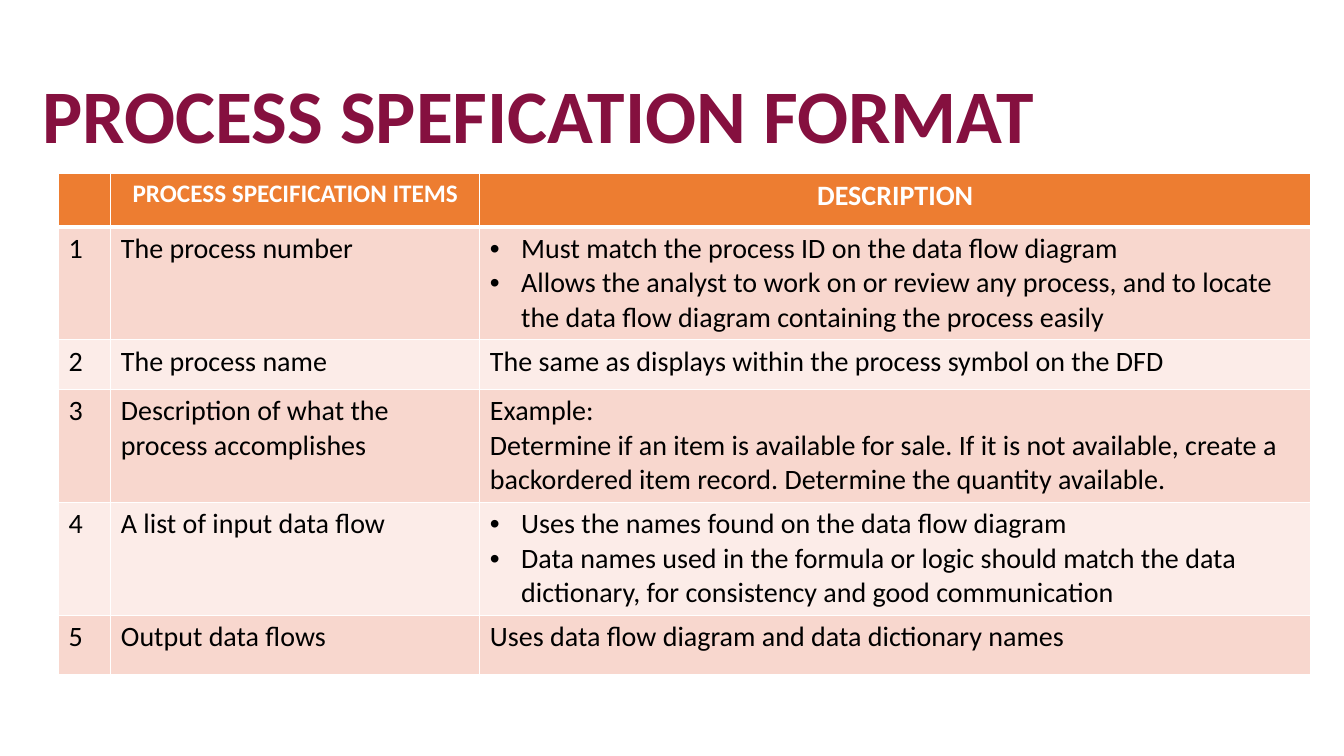
import pptx
import pptx.util
import pptx.dml.color
import pptx.enum.text
import pptx.oxml
import pptx.oxml.ns

Inches, Pt = pptx.util.Inches, pptx.util.Pt
RGBColor = pptx.dml.color.RGBColor
ALIGN = pptx.enum.text.PP_ALIGN
ANCHOR = pptx.enum.text.MSO_ANCHOR
NAMESPACE = pptx.oxml.ns.nsdecls("a")

# Content: a list in the description column is bulleted, a string is plain
TITLE = "PROCESS SPEFICATION FORMAT"
HEADINGS = ("", "PROCESS SPECIFICATION ITEMS", "DESCRIPTION")
ITEMS = [
    ("The process number", [
        "Must match the process ID on the data flow diagram",
        "Allows the analyst to work on or review any process, and to locate "
        "the data flow diagram containing the process easily"]),
    ("The process name", "The same as displays within the process symbol on the DFD"),
    ("Description of what the process accomplishes",
        "Example:\nDetermine if an item is available for sale. If it is not available, "
        "create a backordered item record. Determine the quantity available."),
    ("A list of input data flow", [
        "Uses the names found on the data flow diagram",
        "Data names used in the formula or logic should match the data "
        "dictionary, for consistency and good communication"]),
    ("Output data flows", "Uses data flow diagram and data dictionary names"),
]

# Style and grid
FONT = "Calibri"
MAROON = RGBColor(0x85, 0x10, 0x3F)
ORANGE = RGBColor(0xED, 0x7D, 0x31)
BANDS = (RGBColor(0xF8, 0xD7, 0xCE), RGBColor(0xFC, 0xEC, 0xE8))
WHITE = RGBColor(0xFF, 0xFF, 0xFF)
BLACK = RGBColor(0, 0, 0)
HEADING_SIZES = (18, 18, 20)
COLUMNS = (0.52, 3.66, 8.24)
ROWS = (0.53, 1.1, 0.49, 1.1, 1.1, 0.59)
INDENT = Inches(0.31)


def style_font(font, size, color, bold):
    font.name, font.size, font.bold = FONT, Pt(size), bold
    font.color.rgb = color


def add_borders(cell, bottom):
    properties = cell._tc.get_or_add_tcPr()
    for index, (side, width) in enumerate(zip("LRTB", (1, 1, 1, bottom))):
        properties.insert(index, pptx.oxml.parse_xml(
            f'<a:ln{side} {NAMESPACE} w="{Pt(width)}"><a:solidFill>'
            f'<a:srgbClr val="{WHITE}"/></a:solidFill></a:ln{side}>'))


def add_bullet(para):
    properties = para._p.get_or_add_pPr()
    properties.set("marL", str(INDENT))
    properties.set("indent", str(-INDENT))
    for element in ('buFont {} typeface="Arial"', 'buChar {} char="•"'):
        properties.append(pptx.oxml.parse_xml(f"<a:{element.format(NAMESPACE)}/>"))


def fill_cell(cell, content, fill, size, color, heading):
    cell.fill.solid()
    cell.fill.fore_color.rgb = fill
    add_borders(cell, 3 if heading else 1)
    bulleted = isinstance(content, list)
    cell.text_frame.text = "\n".join(content) if bulleted else content
    for para in cell.text_frame.paragraphs:
        if bulleted:
            add_bullet(para)
        para.alignment = ALIGN.CENTER if heading else ALIGN.LEFT
        style_font(para.font, size, color, heading)
        for span in para.runs:
            style_font(span.font, size, color, heading)


deck = pptx.Presentation()
deck.slide_width, deck.slide_height = Inches(13.33), Inches(7.5)
page = deck.slides.add_slide(deck.slide_layouts[5])

# Title
title = page.shapes.title
title.left, title.top, title.width, title.height = map(Inches, (0.32, 0.65, 11.5, 1.06))
title.text_frame.text = TITLE
title.text_frame.word_wrap = True
title.text_frame.auto_size = pptx.enum.text.MSO_AUTO_SIZE.NONE
title.text_frame.vertical_anchor = ANCHOR.MIDDLE
para = title.text_frame.paragraphs[0]
para.alignment = ALIGN.LEFT
para.line_spacing = 0.9
style_font(para.runs[0].font, 54, MAROON, True)

# Table
table = page.shapes.add_table(
    len(ROWS), len(COLUMNS), Inches(0.58), Inches(1.72),
    Inches(sum(COLUMNS)), Inches(sum(ROWS))).table
for column, width in zip(table.columns, COLUMNS):
    column.width = Inches(width)
for row, height in zip(table.rows, ROWS):
    row.height = Inches(height)

for column, (heading, size) in enumerate(zip(HEADINGS, HEADING_SIZES)):
    fill_cell(table.cell(0, column), heading, ORANGE, size, WHITE, True)
for number, (item, description) in enumerate(ITEMS, 1):
    for column, content in enumerate((str(number), item, description)):
        fill_cell(table.cell(number, column), content,
                  BANDS[(number - 1) % 2], 20, BLACK, False)

deck.save("out.pptx")
